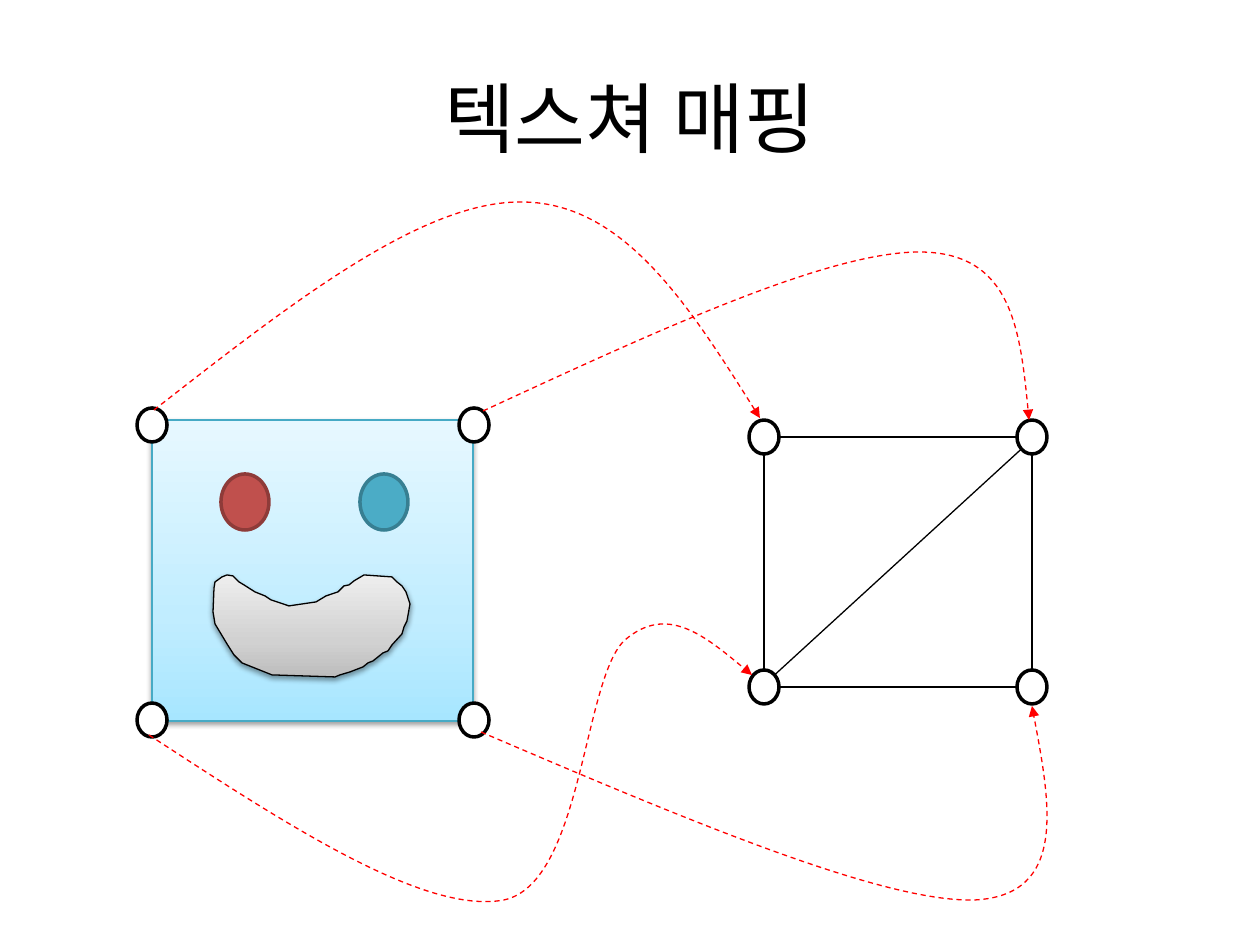
from dataclasses import dataclass
from itertools import product

from lxml.etree import SubElement
from pptx import Presentation
from pptx.dml.color import RGBColor
from pptx.enum.dml import MSO_LINE
from pptx.enum.shapes import MSO_CONNECTOR, MSO_SHAPE
from pptx.enum.text import MSO_ANCHOR, PP_ALIGN
from pptx.oxml.ns import qn
from pptx.util import Inches, Pt

UNIT = Inches(1) / 126  # EMU in one px


@dataclass(frozen=True)
class Theme:
    font: str = "Noto Sans CJK KR"
    title: int = 44
    thin: float = 0.75
    thick: float = 2
    ink: str = "000000"
    white: str = "FFFFFF"
    link: str = "FF0000"
    edge: str = "46AAC5"
    red: tuple = ("C0504D", "8E3B39")
    blue: tuple = ("4BACC6", "377F92")
    sky: tuple = ("A7E6FF", "C1EDFF", "E7F8FF")
    grey: tuple = ("BDBDBD", "D1D1D1", "EEEEEE")


def emu(*values):
    return [round(v * UNIT) for v in values]


def rgb(code):
    return RGBColor.from_string(code)


def write(frame, text, *, font, size, color, align=PP_ALIGN.CENTER):
    para = frame.paragraphs[0]
    para.alignment = align
    run = para.add_run()
    run.text = text
    run.font.name, run.font.size = font, Pt(size)
    run.font.color.rgb = rgb(color)
    SubElement(run.font._element, qn("a:ea"), typeface=font)


def blend(shape, colors):
    """Fill from bottom to top with three colours."""
    shape.fill.gradient()
    shape.fill.gradient_angle = 90
    stops = shape._element.spPr.find(".//" + qn("a:gsLst"))
    stops.clear()
    for spot, color in zip((0, 35000, 100000), colors):
        stop = SubElement(stops, qn("a:gs"), pos=str(spot))
        SubElement(stop, qn("a:srgbClr"), val=color)


def shade(shape):
    """Add a soft shadow below the shape."""
    effects = shape._element.spPr.find(qn("a:effectLst"))
    outer = SubElement(effects, qn("a:outerShdw"), blurRad="39400", dist="20300",
                       dir="5400000", rotWithShape="0")
    color = SubElement(outer, qn("a:srgbClr"), val="000000")
    SubElement(color, qn("a:alpha"), val="38000")


def bend(shape):
    """Turn each three line steps of a freeform into one cubic curve."""
    track = shape._element.spPr.find(".//" + qn("a:path"))
    steps = track.findall(qn("a:lnTo"))
    for i in range(0, len(steps), 3):
        curve = SubElement(track, qn("a:cubicBezTo"))
        for step in steps[i:i + 3]:
            curve.append(step[0])
            track.remove(step)


class Board:
    def __init__(self, slide, theme):
        self.slide, self.theme = slide, theme

    def title(self, text, *box):
        frame = self.slide.shapes.add_textbox(*emu(*box)).text_frame
        frame.word_wrap = True
        frame.vertical_anchor = MSO_ANCHOR.MIDDLE
        write(frame, text, font=self.theme.font, size=self.theme.title,
              color=self.theme.ink)

    def style(self, shape, fill, line, width):
        shape.shadow.inherit = False
        if fill is None:
            shape.fill.background()
        elif isinstance(fill, tuple):
            blend(shape, fill)
            shade(shape)
        else:
            shape.fill.solid()
            shape.fill.fore_color.rgb = rgb(fill)
        shape.line.color.rgb = rgb(line)
        shape.line.width = Pt(width)

    def shape(self, kind, box, fill, line, width, home=None):
        item = (home or self.slide).shapes.add_shape(kind, *emu(*box))
        self.style(item, fill, line, width)

    def free(self, points, fill, line, closed, home=None):
        pen = (home or self.slide).shapes.build_freeform(*points[0], scale=UNIT)
        pen.add_line_segments(points[1:], close=closed)
        item = pen.convert_to_shape()
        self.style(item, fill, line, self.theme.thin)
        return item

    def line(self, start, end):
        item = self.slide.shapes.add_connector(
            MSO_CONNECTOR.STRAIGHT, *emu(*start, *end))
        item.line.color.rgb = rgb(self.theme.ink)
        item.line.width = Pt(self.theme.thin)
        SubElement(item._element.spPr, qn("a:effectLst"))

    def arrow(self, points):
        item = self.free(points, None, self.theme.link, False)
        bend(item)
        item.line.dash_style = MSO_LINE.DASH
        SubElement(item._element.spPr.find(qn("a:ln")), qn("a:tailEnd"),
                   type="triangle")

    def nodes(self, xs, ys):
        """Draw a ring round each corner of a grid."""
        for y, x in product(ys, xs):
            self.shape(MSO_SHAPE.OVAL, (x - RX, y - RY, 2 * RX, 2 * RY),
                       self.theme.white, self.theme.ink, self.theme.thick)

    def face(self):
        look = self.theme
        group = self.slide.shapes.add_group_shape()
        self.shape(MSO_SHAPE.RECTANGLE, (152, 420, 321, 301), look.sky,
                   look.edge, look.thin, group)
        for x, (fill, line) in ((221, look.red), (360, look.blue)):
            self.shape(MSO_SHAPE.OVAL, (x, 474, 48, 56), fill, line,
                       look.thick, group)
        self.free(MOUTH, look.grey, look.ink, True, group)

    def mesh(self, xs, ys):
        """Join the rings by four sides and one diagonal."""
        (left, right), (top, base) = xs, ys
        for x in xs:
            self.line((x, top + RY), (x, base - RY))
        for y in ys:
            self.line((left + RX, y), (right - RX, y))
        dx, dy = RX * 0.71, RY * 0.71
        self.line((left + dx, base - dy), (right - dx, top + dy))


RX, RY = 15, 17  # ring radii
MOUTH = [
    (227, 644), (215, 624), (213, 612), (214, 588), (215, 582), (222, 577),
    (227, 575), (233, 576), (239, 582), (244, 585), (255, 592), (265, 596),
    (271, 600), (289, 606), (316, 602), (326, 596), (338, 592), (344, 586),
    (349, 585), (354, 581), (364, 575), (392, 577), (397, 582), (402, 586),
    (406, 592), (410, 604), (407, 621), (404, 627), (402, 634), (392, 645),
    (388, 651), (383, 653), (373, 661), (368, 663), (363, 667), (350, 672),
    (340, 675), (335, 677), (272, 675), (257, 669), (247, 665), (242, 663),
    (234, 655),
]
ARROWS = [
    [(154, 410), (289, 305), (422, 200), (523, 202),
     (624, 203), (692, 310), (760, 418)],
    [(483, 411), (656, 331), (829, 251), (921, 252),
     (1012, 253), (1021, 336), (1029, 420)],
    [(149, 735), (287, 825), (425, 915), (504, 900), (583, 883),
     (583, 678), (625, 640), (667, 604), (709, 639), (752, 675)],
    [(481, 732), (682, 818), (883, 903), (975, 900),
     (1067, 895), (1050, 800), (1032, 706)],
]


def main():
    deck = Presentation()
    deck.slide_width, deck.slide_height = Inches(10), Inches(7.5)
    board = Board(deck.slides.add_slide(deck.slide_layouts[6]), Theme())
    board.title("텍스쳐 매핑", 63, 38, 1134, 158)
    board.face()
    xs, ys = (764, 1032), (437, 687)
    board.nodes(xs, ys)
    board.mesh(xs, ys)
    board.nodes((152, 474), (425, 720))
    for points in ARROWS:
        board.arrow(points)
    deck.save("out.pptx")


if __name__ == "__main__":
    main()
